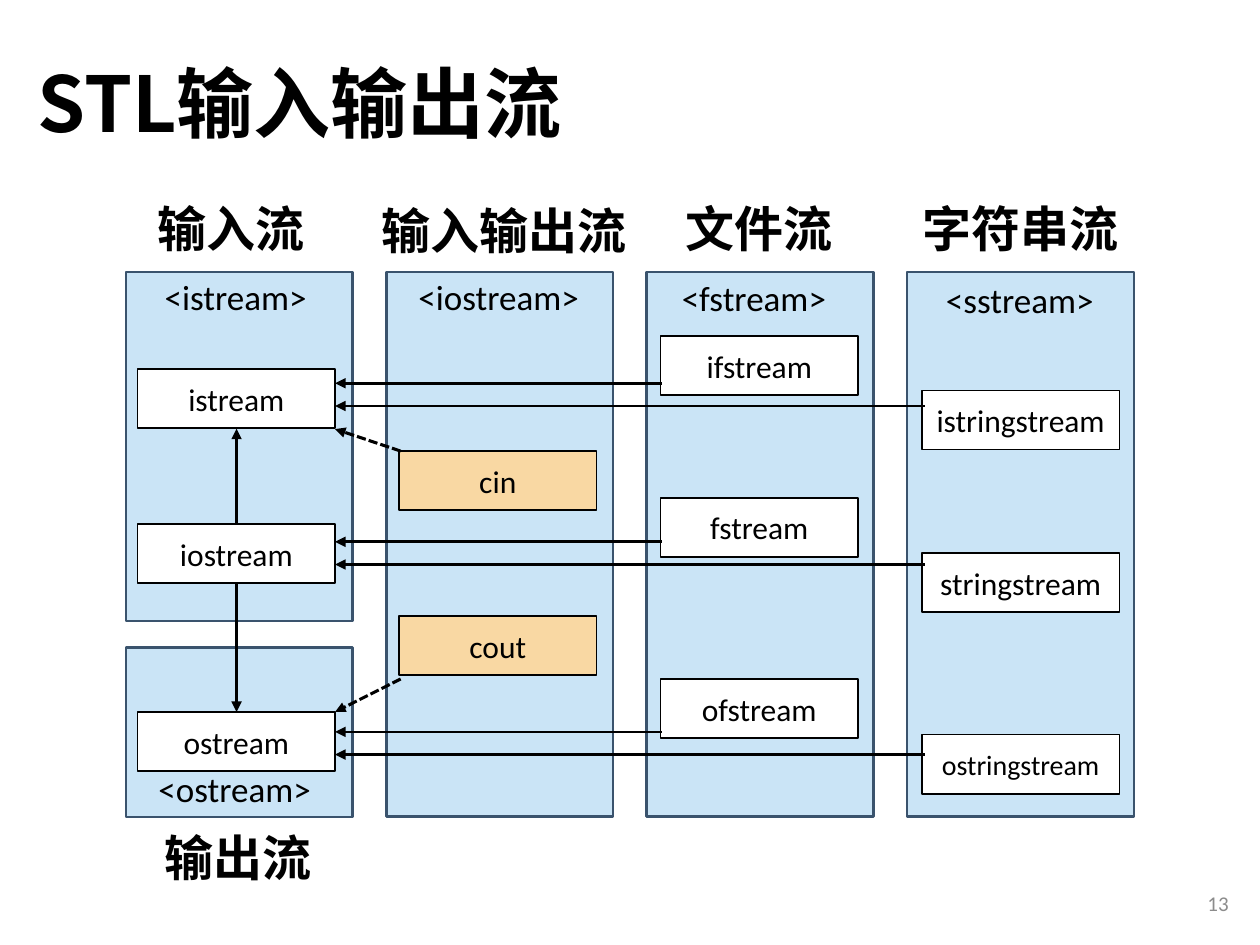
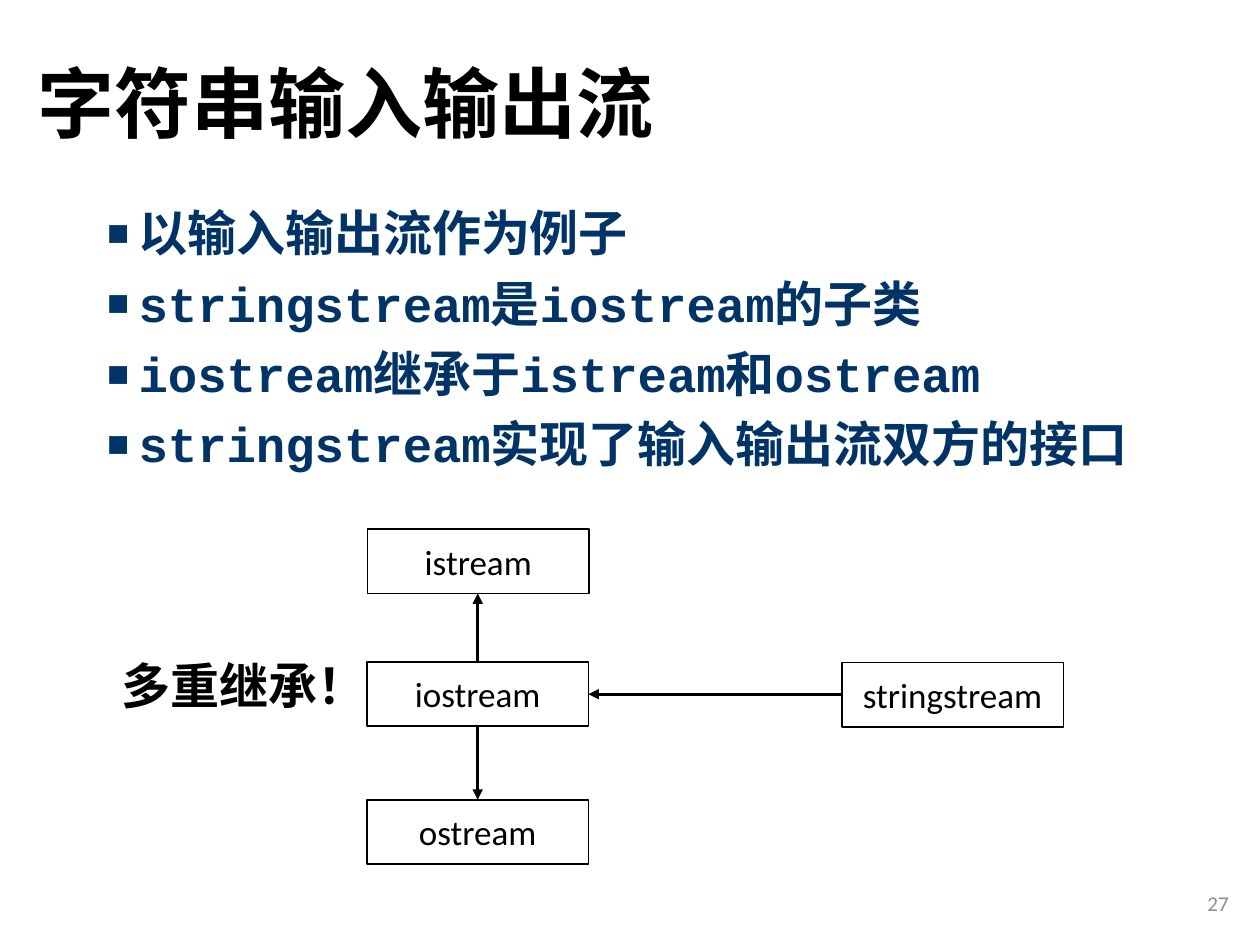
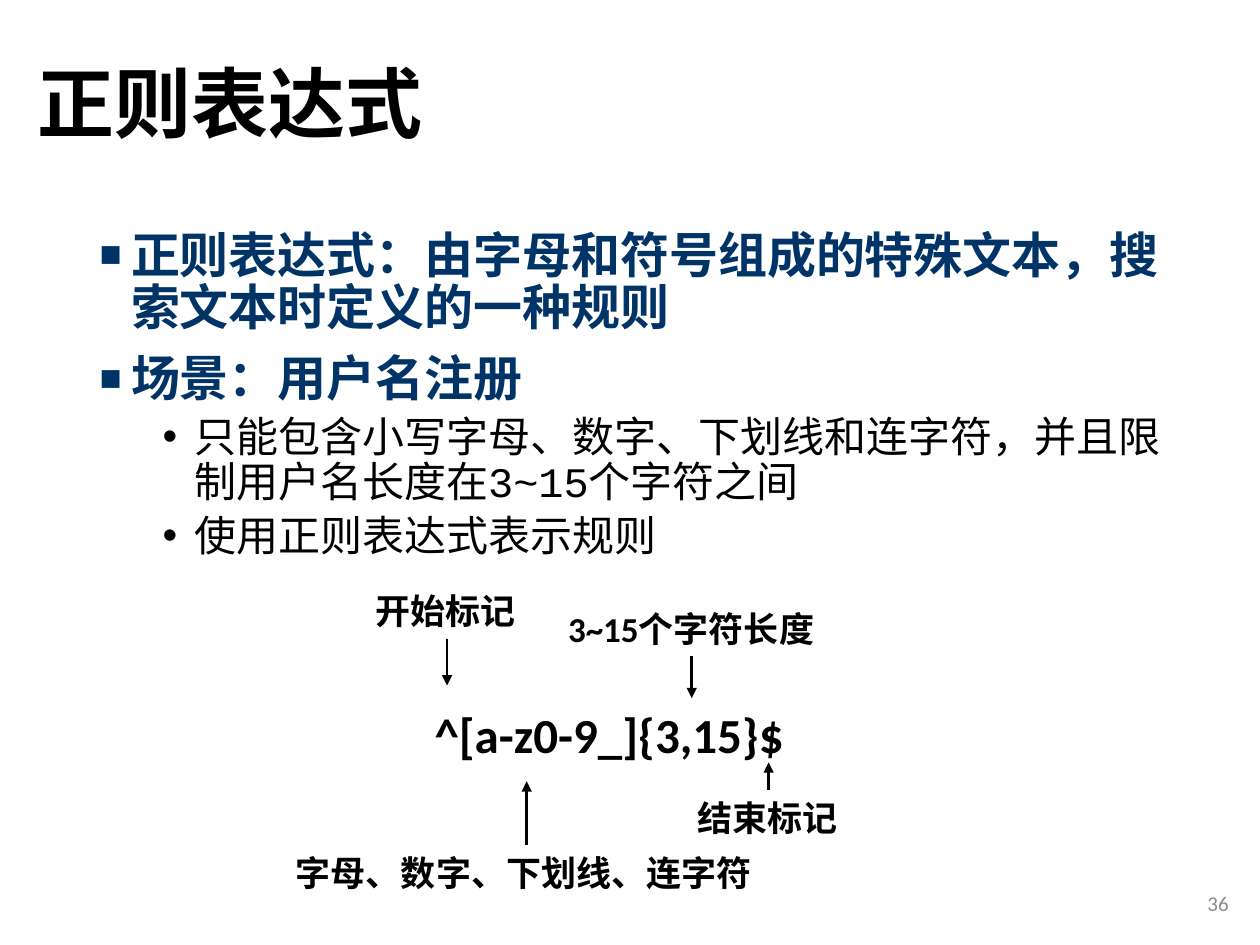
from pptx import Presentation as Deck
from pptx.dml.color import RGBColor as Rgb
from pptx.enum.dml import MSO_LINE as Dash
from pptx.enum.shapes import MSO_CONNECTOR as Link, MSO_SHAPE as Kind
from pptx.enum.text import MSO_ANCHOR as Anchor, MSO_AUTO_SIZE as Fit, PP_ALIGN as Align
from pptx.oxml.ns import qn
from pptx.util import Pt
from lxml.etree import SubElement as Sub

HUES = {
    "black": "000000", "white": "FFFFFF", "grey": "8C8C8C", "navy": "003366",
    "sky": "CAE4F6", "slate": "3A536D", "sand": "F9D8A3",
}
SANS, MONO, HAN = "Calibri", "Courier New", "Noto Sans CJK SC"
# Per list level: bullet, bullet size, left margin, space before, size, colour, bold
LEVELS = [
    ("■", 75, 18, 10, 28, "navy", True),
    ("•", 100, 54, 5, 24, "black", False),
]


class Page:
    """Holds the deck, its style and the current slide."""

    def __init__(self):
        """Open a blank 4:3 deck."""
        self.deck = Deck()
        self.deck.slide_width, self.deck.slide_height = Pt(720), Pt(540)

    def hue(self, name):
        """Return a named colour."""
        return Rgb.from_string(HUES[name])

    def place(self, shape, box):
        """Move a shape to a box of left, top, width, height."""
        shape.left, shape.top, shape.width, shape.height = map(Pt, box)

    def style(self, para, size, hue="black", bold=False, face=SANS):
        """Format all runs of a paragraph."""
        for run in para.runs:
            font = run.font
            font.size, font.bold, font.name = Pt(size), bold, face
            font.color.rgb = self.hue(hue)
            Sub(run._r.get_or_add_rPr(), qn("a:ea"), typeface=HAN)

    def start(self, title, number, layout):
        """Add a slide with its title and page number."""
        self.slide = self.deck.slides.add_slide(self.deck.slide_layouts[layout])
        self.shapes = self.slide.shapes
        head = self.shapes.title
        self.place(head, (14.4, 9.4, 620.6, 104.4))
        frame = head.text_frame
        frame.text = title
        frame.auto_size, frame.vertical_anchor = Fit.NONE, Anchor.MIDDLE
        para = frame.paragraphs[0]
        para.alignment, para.line_spacing = Align.LEFT, 0.9
        self.style(para, 44, bold=True, face=HAN)

        foot = self.shapes.add_textbox(Pt(547.2), Pt(501.8), Pt(162), Pt(28.8))
        frame = foot.text_frame
        frame.text = str(number)
        frame.word_wrap, frame.vertical_anchor = True, Anchor.MIDDLE
        frame.paragraphs[0].alignment = Align.RIGHT
        self.style(frame.paragraphs[0], 12, "grey")

    def list(self, box, items):
        """Fill the body with (level, text) items."""
        body = self.slide.placeholders[1]
        self.place(body, box)
        frame = body.text_frame
        frame.text = "\n".join(text for _, text in items)
        frame.auto_size, frame.vertical_anchor = Fit.NONE, Anchor.TOP
        for para, (level, _) in zip(frame.paragraphs, items):
            mark, scale, left, gap, size, hue, bold = LEVELS[level]
            para.level, para.line_spacing, para.space_before = level, 0.9, Pt(gap)
            para.alignment = Align.LEFT
            props = para._p.get_or_add_pPr()
            props.set("marL", str(Pt(left)))
            props.set("indent", str(Pt(-18)))
            Sub(props, qn("a:buSzPct"), val=str(scale * 1000))
            Sub(props, qn("a:buFont"), typeface="Arial")
            Sub(props, qn("a:buChar"), char=mark)
            self.style(para, size, hue, bold, MONO)

    def rect(self, box, fill, edge="black", width=1.0):
        """Draw a filled rectangle."""
        shape = self.shapes.add_shape(Kind.RECTANGLE, *map(Pt, box))
        shape.shadow.inherit = False
        shape.fill.solid()
        shape.fill.fore_color.rgb = self.hue(fill)
        shape.line.color.rgb = self.hue(edge)
        shape.line.width = Pt(width)
        return shape

    def node(self, text, box, size=18, fill="white"):
        """Draw a class box with a centred name."""
        frame = self.rect(box, fill).text_frame
        frame.text = text
        frame.word_wrap, frame.vertical_anchor = False, Anchor.MIDDLE
        frame.paragraphs[0].alignment = Align.CENTER
        self.style(frame.paragraphs[0], size)

    def label(self, text, left, top, width, size=20, bold=False, wrap=False):
        """Write a free line of text."""
        high = 41 if size == 28 else 31.5
        box = self.shapes.add_textbox(Pt(left), Pt(top), Pt(width), Pt(high))
        frame = box.text_frame
        frame.text = text
        frame.word_wrap, frame.auto_size = wrap, Fit.SHAPE_TO_FIT_TEXT
        self.style(frame.paragraphs[0], size, bold=bold)

    def arrow(self, x1, y1, x2, y2, dashed=False):
        """Draw an arrow that points at its second end."""
        line = self.shapes.add_connector(Link.STRAIGHT, Pt(x1), Pt(y1), Pt(x2), Pt(y2))
        line.line.color.rgb = self.hue("black")
        line.line.width = Pt(1.75 if dashed else 1.5)
        if dashed:
            line.line.dash_style = Dash.SQUARE_DOT
        Sub(line.line._get_or_add_ln(), qn("a:tailEnd"), type="triangle")
        Sub(line._element.spPr, qn("a:effectLst"))


def streams(page):
    """Build the map of stream classes."""
    page.start("STL输入输出流", 13, 5)
    top, wide, high = 155.5, 113, 33.8
    page.rect((72, top, 129.6, 199.4), "sky", "slate", 1.5)
    page.rect((72, 370, 129.6, 97), "sky", "slate", 1.5)
    for col in range(1, 4):
        page.rect((72 + 148.8 * col, top, 129.6, 311), "sky", "slate", 1.5)

    grid = [
        [("istream", 211), ("iostream", 299.5), ("ostream", 406.8)],
        [("cin", 257.8), ("cout", 352)],
        [("ifstream", 192.2), ("fstream", 284.4), ("ofstream", 388)],
        [("istringstream", 223.2), ("stringstream", 316), ("ostringstream", 419.8)],
    ]
    for col, nodes in enumerate(grid):
        for name, y in nodes:
            page.node(name, (78.6 + 149.4 * col, y, wide, high),
                      16 if name == "ostringstream" else 18,
                      "sand" if col == 1 else "white")

    tip = 191.5
    for y in (219, 309.6, 418.2):
        page.arrow(378, y, tip, y)
        page.arrow(528.5, y + 13, tip, y + 13)
    page.arrow(229, 257.8, tip, 245.2, dashed=True)
    page.arrow(229, 388, tip, 406.8, dashed=True)
    page.arrow(135.2, 299.5, 135.2, 245)
    page.arrow(135.2, 333.3, 135.2, 406.8)

    for text, left, y, width in [
        ("<istream>", 87, 154, 96.5), ("<iostream>", 232, 154, 107),
        ("<fstream>", 382.5, 154.5, 98), ("<sstream>", 533.5, 155.5, 100),
        ("<ostream>", 83.5, 435, 103),
    ]:
        page.label(text, left, y, width)
    for text, left, y, width in [
        ("输入流", 83, 110, 99.5), ("输入输出流", 211, 111, 156),
        ("文件流", 384.5, 110, 99.5), ("字符串流", 520, 110, 127.5),
        ("输出流", 87, 469.5, 99.5),
    ]:
        page.label(text, left, y, width, 28, True)


def strings(page):
    """Build the slide on string streams."""
    page.start("字符串输入输出流", 27, 1)
    page.list((54, 116, 633.6, 373.7), [
        (0, "以输入输出流作为例子"),
        (0, "stringstream是iostream的子类"),
        (0, "iostream继承于istream和ostream"),
        (0, "stringstream实现了输入输出流双方的接口"),
    ])
    for name, left, y in [
        ("istream", 210, 302.4), ("iostream", 209.6, 378.2),
        ("ostream", 209.6, 457), ("stringstream", 481, 378.6),
    ]:
        page.node(name, (left, y, 126.7, 36.7), 20)
    page.arrow(481, 396.7, 336.3, 396.7)
    page.arrow(273, 378.2, 273, 339.1)
    page.arrow(273, 414.9, 273, 457)
    page.label("多重继承！", 62.6, 371, 156, 28, True)


def regex(page):
    """Build the slide on regular expressions."""
    page.start("正则表达式", 36, 1)
    page.list((49.7, 128.2, 633.6, 391), [
        (0, "正则表达式：由字母和符号组成的特殊文本，搜索文本时定义的一种规则"),
        (0, "场景：用户名注册"),
        (1, "只能包含小写字母、数字、下划线和连字符，并且限制用户名长度在3~15个字符之间"),
        (1, "使用正则表达式表示规则"),
    ])
    page.label("^[a-z0-9_]{3,15}$", 241.2, 399, 216.7, 28, True)
    page.label("开始标记", 207.4, 333.4, 95, bold=True)
    page.label("字母、数字、下划线、连字符", 162, 483, 277, bold=True)
    page.label("3~15个字符长度", 317.5, 343.4, 156, bold=True, wrap=True)
    page.label("结束标记", 391.7, 451.4, 95, bold=True)
    for x, y1, y2 in [(255.5, 365, 391.7), (395.3, 375, 399),
                      (301, 483, 446.4), (439.2, 451.4, 435.6)]:
        page.arrow(x, y1, x, y2)


page = Page()
for build in (streams, strings, regex):
    build(page)
page.deck.save("out.pptx")
